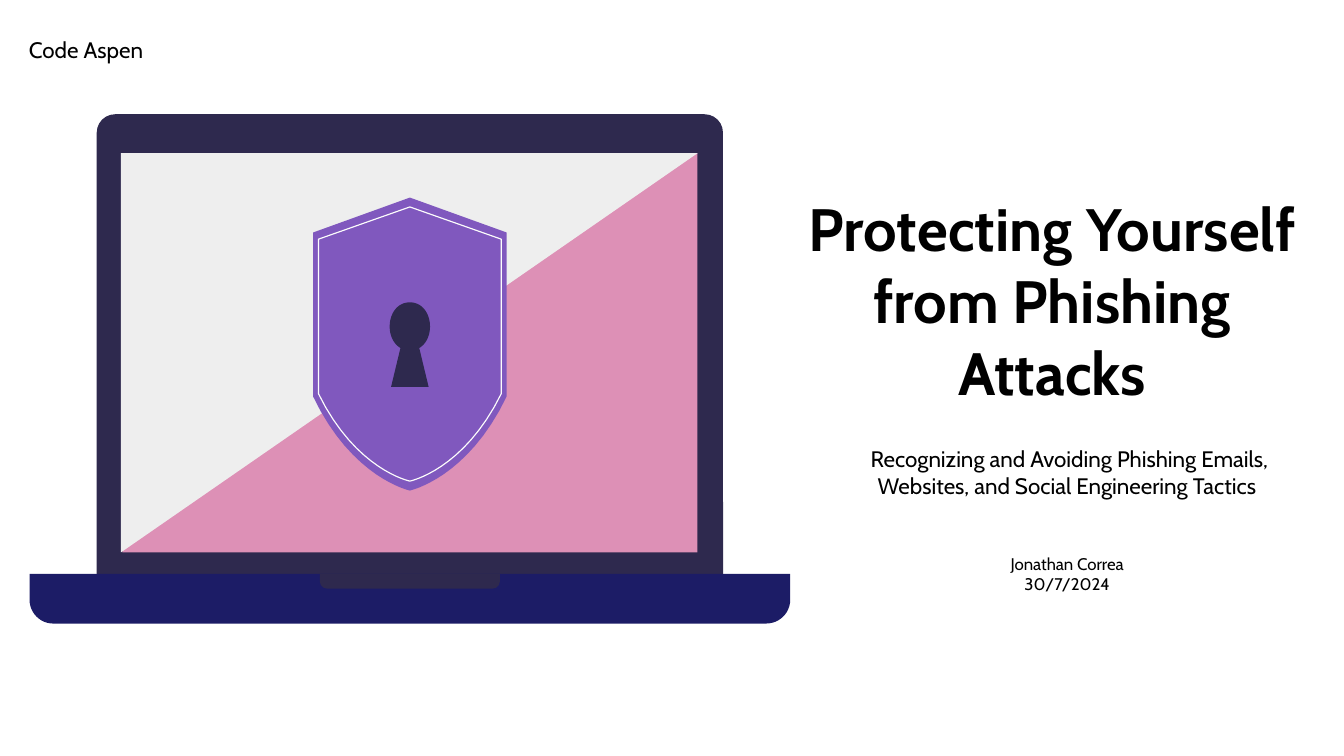
from pptx import Presentation
from pptx.dml.color import RGBColor
from pptx.enum.shapes import MSO_SHAPE
from pptx.enum.text import MSO_ANCHOR, PP_ALIGN
from pptx.util import Inches, Pt

RECTANGLE = MSO_SHAPE.RECTANGLE
ROUND_PAIR = MSO_SHAPE.ROUND_2_SAME_RECTANGLE
TOP, BOTTOM = MSO_ANCHOR.TOP, MSO_ANCHOR.BOTTOM
CENTER = PP_ALIGN.CENTER

PAGE_WIDTH = Inches(10)
PAGE_HEIGHT = PAGE_WIDTH * 9 // 16
FONT = "Cabin"
BLACK, DARK, NAVY = "000000", "2E294E", "1C1C66"
PINK, GREY, PURPLE, WHITE = "DD90B6", "EEEEEE", "8058BE", "FCFCFC"

# left, top, width, height, anchor, paragraphs, format
TEXTS = [
    (5.88, 1.57, 3.9, 1.56, BOTTOM, ["Protecting Yourself from Phishing Attacks"],
     {"size": Pt(32), "bold": True}),
    (5.99, 3.21, 3.9, 0.87, TOP,
     [" Recognizing and Avoiding Phishing Emails, Websites, and Social Engineering Tactics"],
     {"size": Pt(12)}),
    (-1.29, 0.17, 3.9, 0.87, TOP, ["Code Aspen "], {"size": Pt(12)}),
    (5.99, 4.02, 3.9, 0.87, TOP, ["Jonathan Correa", "30/7/2024"], {"size": Pt(9)}),
]

# preset, left, top, width, height, colour, corner adjustments (top, bottom)
LAPTOP = [
    (ROUND_PAIR, 0.72, 0.85, 4.66, 3.42, DARK, (0.04, 0)),
    (RECTANGLE, 0.91, 1.14, 4.28, 2.97, PINK, ()),
    (ROUND_PAIR, 0.22, 4.27, 5.66, 0.37, NAVY, (0, 0.48)),
    (ROUND_PAIR, 2.38, 4.27, 1.34, 0.11, DARK, (0, 0.5)),
]
SCREEN_LIGHT = [(0.9, 1.14), (0.9, 4.11), (5.19, 1.14)]

# Right halves, mirrored about AXIS: a pair is a corner, three pairs are a curve
AXIS = 3.05
SHIELD = [(3.05, 1.47), (3.77, 1.73), (3.77, 2.95),
          ((3.48, 3.56), (3.05, 3.65), (3.05, 3.65))]
SHIELD_RIM = [(3.05, 1.54), (3.73, 1.78), (3.73, 2.93),
              ((3.45, 3.5), (3.05, 3.58), (3.05, 3.58))]
KEYHOLE = [(3.05, 2.25), ((3.14, 2.25), (3.2, 2.33), (3.2, 2.43)),
           ((3.2, 2.5), (3.17, 2.56), (3.12, 2.59)), (3.19, 2.88)]
CURVE_STEPS = 16


def color(code):
    return RGBColor.from_string(code)


def paint(shape, fill=None, line=None):
    shape.shadow.inherit = False
    if fill:
        shape.fill.solid()
        shape.fill.fore_color.rgb = color(fill)
    else:
        shape.fill.background()
    if line:
        shape.line.color.rgb = color(line)
        shape.line.width = Pt(0.61)
    else:
        shape.line.fill.background()


def curve(*controls):
    """Return points along a cubic Bezier curve, without its start."""
    points = []
    for step in range(1, CURVE_STEPS + 1):
        t = step / CURVE_STEPS
        weights = ((1 - t) ** 3, 3 * t * (1 - t) ** 2, 3 * t * t * (1 - t), t ** 3)
        points.append(tuple(sum(weight * control[axis]
                                for weight, control in zip(weights, controls))
                            for axis in (0, 1)))
    return points


def symmetric(half):
    points = []
    for part in half:
        points += curve(points[-1], *part) if len(part) == 3 else [part]
    return points + [(2 * AXIS - x, y) for x, y in reversed(points)]


def add_outline(shapes, points, **style):
    corners = [(Inches(x), Inches(y)) for x, y in points]
    builder = shapes.build_freeform(*corners[0])
    builder.add_line_segments(corners[1:], close=True)
    paint(builder.convert_to_shape(), **style)


def add_laptop(page):
    shapes = page.shapes.add_group_shape().shapes
    for preset, *place, fill, corners in LAPTOP:
        part = shapes.add_shape(preset, *map(Inches, place))
        for index, value in enumerate(corners):
            part.adjustments[index] = value
        paint(part, fill)
    add_outline(shapes, SCREEN_LIGHT, fill=GREY)
    add_outline(shapes, symmetric(SHIELD), fill=PURPLE)
    add_outline(shapes, symmetric(SHIELD_RIM), line=WHITE)
    add_outline(shapes, symmetric(KEYHOLE), fill=DARK)


def add_text(page, place, anchor, lines, style):
    frame = page.shapes.add_textbox(*map(Inches, place)).text_frame
    frame.word_wrap = True
    frame.vertical_anchor = anchor
    for side in ("left", "top", "right", "bottom"):
        setattr(frame, f"margin_{side}", Inches(0.1))
    for index, line in enumerate(lines):
        para = frame.add_paragraph() if index else frame.paragraphs[0]
        para.alignment = CENTER
        span = para.add_run()
        span.text = line
        span.font.color.rgb = color(BLACK)
        for name, value in {"name": FONT, **style}.items():
            setattr(span.font, name, value)


def main():
    deck = Presentation()
    deck.slide_width, deck.slide_height = PAGE_WIDTH, PAGE_HEIGHT
    page = deck.slides.add_slide(deck.slide_layouts[6])
    add_laptop(page)
    for *place, anchor, lines, style in TEXTS:
        add_text(page, place, anchor, lines, style)
    deck.save("out.pptx")


if __name__ == "__main__":
    main()
